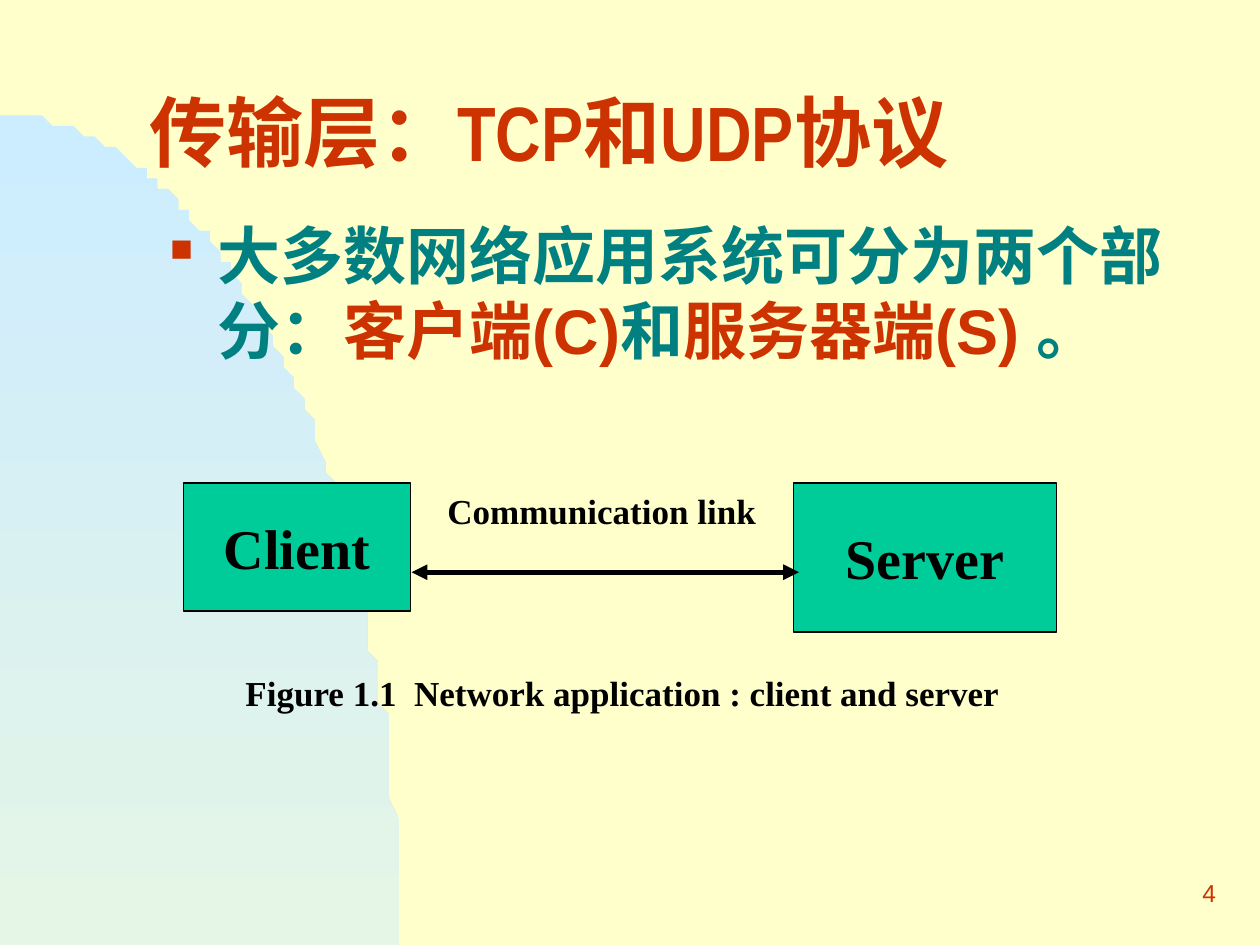
import math
from dataclasses import dataclass

from lxml import etree
from pptx import Presentation
from pptx import util as u
from pptx.dml.color import RGBColor
from pptx.enum import lang, shapes, text
from pptx.oxml.ns import qn

COLS, ROWS = 120, 90
UNIT = u.Inches(10) / COLS


@dataclass(frozen=True)
class Theme:
    paper: str = "FFFFCC"
    sky: str = "CCECFF"
    mist: str = "E5F5E6"
    accent: str = "CC3300"
    body: str = "008080"
    node: str = "00CC99"
    ink: str = "000000"
    title_font: str = "Arial Narrow"
    body_font: str = "Arial"
    figure_font: str = "Times New Roman"
    title_size: int = 44
    body_size: int = 36
    node_size: int = 32
    label_size: int = 20
    number_size: int = 14


THEME = Theme()


@dataclass(frozen=True)
class Box:
    """Area in grid columns and rows."""
    x: float
    y: float
    w: float
    h: float

    def sub(self, x, y, w=0, h=0):
        return Box(self.x + x, self.y + y, w, h)

    def emu(self):
        return [round(v * UNIT) for v in (self.x, self.y, self.w, self.h)]


def rgb(value):
    return RGBColor.from_string(value)


def assign(obj, **values):
    for name, value in values.items():
        setattr(obj, name, value)


def setup_frame(tf, **values):
    assign(tf, **{"word_wrap": True, "auto_size": text.MSO_AUTO_SIZE.NONE,
                  "vertical_anchor": text.MSO_ANCHOR.TOP, **values})


def add_run(p, content, color, font, size, bold=True, chinese=False):
    r = p.add_run()
    r.text = content
    assign(r.font, name=font, size=u.Pt(size), bold=bold)
    r.font.color.rgb = rgb(color)
    if chinese:
        r.font.language_id = lang.MSO_LANGUAGE_ID.SIMPLIFIED_CHINESE


def add_textbox(slide, box, **frame):
    tf = slide.shapes.add_textbox(*box.emu()).text_frame
    setup_frame(tf, **frame)
    return tf.paragraphs[0]


def draw_backdrop(slide, box):
    """Quarter ellipse rising from the lower left corner."""
    angles = [math.radians(a) for a in range(91)]
    points = [(box.x + box.w * math.sin(a), box.y + box.h * (1 - math.cos(a)))
              for a in angles]
    builder = slide.shapes.build_freeform(*points[0], scale=UNIT)
    builder.add_line_segments(points[1:] + [(box.x, box.y + box.h)])
    sp = builder.convert_to_shape()
    sp.shadow.inherit = False
    sp.line.fill.background()
    sp.fill.gradient()
    sp.fill.gradient_angle = 270
    for stop, color in zip(sp.fill.gradient_stops, (THEME.sky, THEME.mist)):
        stop.color.rgb = rgb(color)


def place_title(slide, box):
    title = slide.shapes.title
    assign(title, **dict(zip(("left", "top", "width", "height"), box.emu())))
    setup_frame(title.text_frame, vertical_anchor=text.MSO_ANCHOR.MIDDLE)
    p = title.text_frame.paragraphs[0]
    assign(p, alignment=text.PP_ALIGN.LEFT, line_spacing=0.7)
    add_run(p, "传输层：TCP和UDP协议", THEME.accent, THEME.title_font,
            THEME.title_size, chinese=True)


def add_bullet(p):
    props = p._p.get_or_add_pPr()
    indent = u.Inches(0.38)
    props.set("marL", str(indent))
    props.set("indent", str(-indent))
    color = etree.SubElement(props, qn("a:buClr"))
    etree.SubElement(color, qn("a:srgbClr"), val=THEME.accent)
    etree.SubElement(props, qn("a:buSzPct"), val="50000")
    etree.SubElement(props, qn("a:buChar"), char="■")


def place_body(slide, box):
    p = add_textbox(slide, box)
    p.space_before = u.Pt(9)
    add_bullet(p)
    parts = [("大多数网络应用系统可分为两个部分：", THEME.body),
             ("客户端(C)", THEME.accent),
             ("和", THEME.body),
             ("服务器端(S) ", THEME.accent),
             ("。", THEME.body)]
    for content, color in parts:
        add_run(p, content, color, THEME.body_font, THEME.body_size, chinese=True)


def add_node(slide, box, name):
    sp = slide.shapes.add_shape(shapes.MSO_SHAPE.RECTANGLE, *box.emu())
    sp.shadow.inherit = False
    sp.fill.solid()
    sp.fill.fore_color.rgb = rgb(THEME.node)
    sp.line.color.rgb = rgb(THEME.ink)
    sp.line.width = u.Pt(0.75)
    setup_frame(sp.text_frame, word_wrap=False,
                vertical_anchor=text.MSO_ANCHOR.MIDDLE)
    p = sp.text_frame.paragraphs[0]
    p.alignment = text.PP_ALIGN.CENTER
    add_run(p, name, THEME.ink, THEME.figure_font, THEME.node_size)


def add_double_arrow(slide, start, end):
    line = slide.shapes.add_connector(shapes.MSO_CONNECTOR.STRAIGHT,
                                      *start.emu()[:2], *end.emu()[:2])
    line.line.color.rgb = rgb(THEME.ink)
    line.line.width = u.Pt(3)
    ln = line.line._get_or_add_ln()
    for tag in ("a:headEnd", "a:tailEnd"):
        etree.SubElement(ln, qn(tag), type="triangle")
    etree.SubElement(line._element.spPr, qn("a:effectLst"))


def add_label(slide, box, content, align):
    p = add_textbox(slide, box, auto_size=text.MSO_AUTO_SIZE.SHAPE_TO_FIT_TEXT)
    assign(p, alignment=align, space_before=u.Pt(12.5))
    add_run(p, content, THEME.ink, THEME.figure_font, THEME.label_size)


def draw_figure(slide, box):
    add_node(slide, box.sub(0, 0, 21.6, 12.2), "Client")
    add_node(slide, box.sub(58.1, 0, 25, 14.2), "Server")
    add_double_arrow(slide, box.sub(21.7, 8.5), box.sub(58.6, 8.5))
    add_label(slide, box.sub(19.8, 0, 40, 5.3), "Communication link",
              text.PP_ALIGN.CENTER)
    add_label(slide, box.sub(4.7, 17.4, 75.6, 5.3),
              "Figure 1.1  Network application : client and server",
              text.PP_ALIGN.LEFT)


def place_number(slide, box):
    p = add_textbox(slide, box, vertical_anchor=text.MSO_ANCHOR.MIDDLE)
    p.alignment = text.PP_ALIGN.RIGHT
    add_run(p, "4", THEME.accent, THEME.body_font, THEME.number_size, bold=False)


def main():
    prs = Presentation()
    assign(prs, slide_width=round(COLS * UNIT), slide_height=round(ROWS * UNIT))
    slide = prs.slides.add_slide(prs.slide_layouts[5])
    slide.background.fill.solid()
    slide.background.fill.fore_color.rgb = rgb(THEME.paper)
    draw_backdrop(slide, Box(0, 11, 38, 79))
    place_title(slide, Box(13, 8, 102, 11))
    place_body(slide, Box(15, 20, 101, 54))
    draw_figure(slide, Box(17.5, 46, 83.1, 22.7))
    place_number(slide, Box(92, 82, 25, 6))
    prs.save("out.pptx")


if __name__ == "__main__":
    main()
